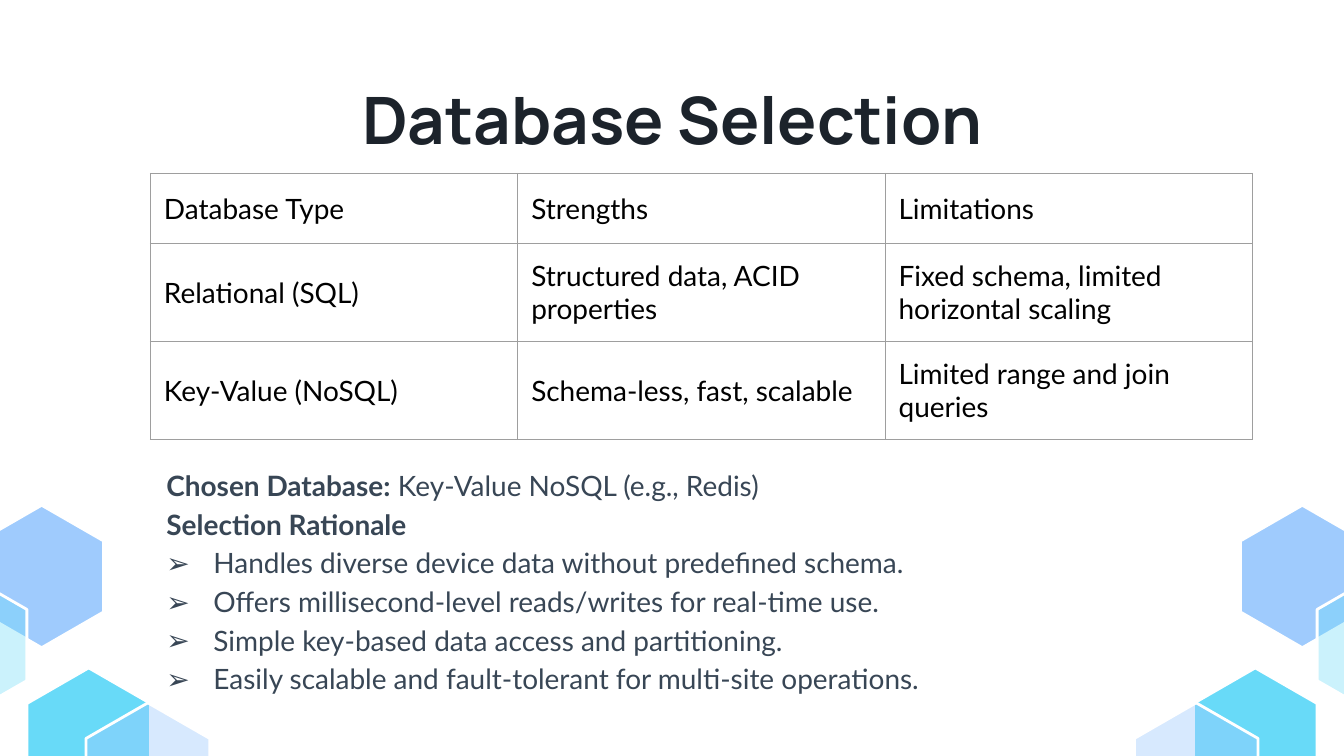
"""Build the Database Selection slide with a comparison table and rationale."""
from lxml import etree
from pptx import Presentation
from pptx.dml.color import RGBColor
from pptx.enum.text import MSO_ANCHOR, MSO_AUTO_SIZE, PP_ALIGN
from pptx.oxml import parse_xml
from pptx.oxml.ns import nsdecls, qn
from pptx.util import Inches, Pt

MIDDLE, TOP = MSO_ANCHOR.MIDDLE, MSO_ANCHOR.TOP
CENTER = PP_ALIGN.CENTER
NO_FIT = MSO_AUTO_SIZE.NONE
SLATE = "384655"
BLUE, CYAN = "9FCBFD", "68DAF8"


def color(value):
    return RGBColor.from_string(value)


def style(font, name, size, value, bold=False):
    font.name, font.size, font.bold = name, Pt(size), bold
    font.color.rgb = color(value)


deck = Presentation()
deck.slide_width, deck.slide_height = Inches(10), Inches(10 * 9 / 16)
page = deck.slides.add_slide(deck.slide_layouts[5])

half_width, half_height = 0.46, 0.53
corners = [(0, -1), (1, -0.5), (1, 0.5), (0, 1), (-1, 0.5), (-1, -0.5)]
hexagons = [
    (0.31, 4.29, BLUE, 100),
    (0.66, 5.5, CYAN, 100),
    (-0.26, 4.8, CYAN, 34),
    (1.1, 5.76, BLUE, 41),
]
for center_x, center_y, fill, opacity in hexagons:
    for x in (center_x, 10 - center_x):
        points = [(Inches(x + dx * half_width), Inches(center_y + dy * half_height))
                  for dx, dy in corners]
        builder = page.shapes.build_freeform(*points[0])
        builder.add_line_segments(points[1:], close=True)
        hexagon = builder.convert_to_shape()
        hexagon.shadow.inherit = False
        hexagon.fill.solid()
        hexagon.fill.fore_color.rgb = color(fill)
        hexagon.line.color.rgb = color("FFFFFF")
        hexagon.line.width = Pt(1.5)
        if opacity < 100:
            tint = hexagon.fill._xPr.find(qn("a:solidFill"))[0]
            etree.SubElement(tint, qn("a:alpha"), val=str(opacity * 1000))

title = page.shapes.title
page.shapes._spTree.append(title._element)
title.left, title.top = Inches(0.79), Inches(0.49)
title.width, title.height = Inches(8.43), Inches(0.63)
frame = title.text_frame
frame.text = "Database Selection"
frame.auto_size, frame.vertical_anchor = NO_FIT, TOP
frame.margin_left = frame.margin_right = Inches(0.1)
frame.margin_top = frame.margin_bottom = Inches(0.1)
frame.paragraphs[0].alignment = CENTER
style(frame.paragraphs[0].font, "Manrope", 35, "1C232B", True)

rationale = [
    "Handles diverse device data without predefined schema.",
    "Offers millisecond-level reads/writes for real-time use.",
    "Simple key-based data access and partitioning.",
    "Easily scalable and fault-tolerant for multi-site operations.",
]
lines = [
    [("Chosen Database:", True), (" Key-Value NoSQL (e.g., Redis)", False)],
    [("Selection Rationale", True)],
] + [[(reason, False)] for reason in rationale]
box = page.shapes.add_textbox(Inches(0.99), Inches(3.35), Inches(8.33), Inches(1.97))
frame = box.text_frame
frame.word_wrap = True
frame.margin_left = frame.margin_right = Inches(0.1)
frame.margin_top = frame.margin_bottom = Inches(0.1)
for index, spans in enumerate(lines):
    para = frame.paragraphs[0] if index == 0 else frame.add_paragraph()
    para.line_spacing = 1.15
    properties = para._p.get_or_add_pPr()
    properties.set("marL", str(Inches(0.5)))
    properties.set("indent", str(Inches(-0.35)))
    if index >= 2:
        bullet_color = etree.SubElement(properties, qn("a:buClr"))
        etree.SubElement(bullet_color, qn("a:srgbClr"), val=SLATE)
        etree.SubElement(properties, qn("a:buFont"), typeface="Lato")
        etree.SubElement(properties, qn("a:buChar"), char="➢")
    for text, bold in spans:
        span = para.add_run()
        span.text = text
        style(span.font, "Lato", 15, SLATE, bold)

rows = [
    ("Database Type", "Strengths", "Limitations"),
    ("Relational (SQL)", "Structured data, ACID properties",
     "Fixed schema, limited horizontal scaling"),
    ("Key-Value (NoSQL)", "Schema-less, fast, scalable",
     "Limited range and join queries"),
]
table = page.shapes.add_table(
    3, 3, Inches(1.12), Inches(1.29), Inches(8.2), Inches(1.97)).table
table.first_row = table.horz_banding = False
for column in table.columns:
    column.width = Inches(8.2 / 3)
for row, height, texts in zip(table.rows, (0.52, 0.73, 0.73), rows):
    row.height = Inches(height)
    for cell, text in zip(row.cells, texts):
        cell.text = text
        cell.vertical_anchor = MIDDLE
        cell.margin_left = cell.margin_right = Inches(0.1)
        cell.margin_top = cell.margin_bottom = Inches(0.1)
        style(cell.text_frame.paragraphs[0].font, "Lato", 15, "000000")
        for side in ("lnL", "lnR", "lnT", "lnB"):
            cell._tc.get_or_add_tcPr().append(parse_xml(
                f'<a:{side} {nsdecls("a")} w="{Pt(0.75)}"><a:solidFill>'
                f'<a:srgbClr val="9E9E9E"/></a:solidFill></a:{side}>'))
        cell.fill.background()

deck.save("out.pptx")
